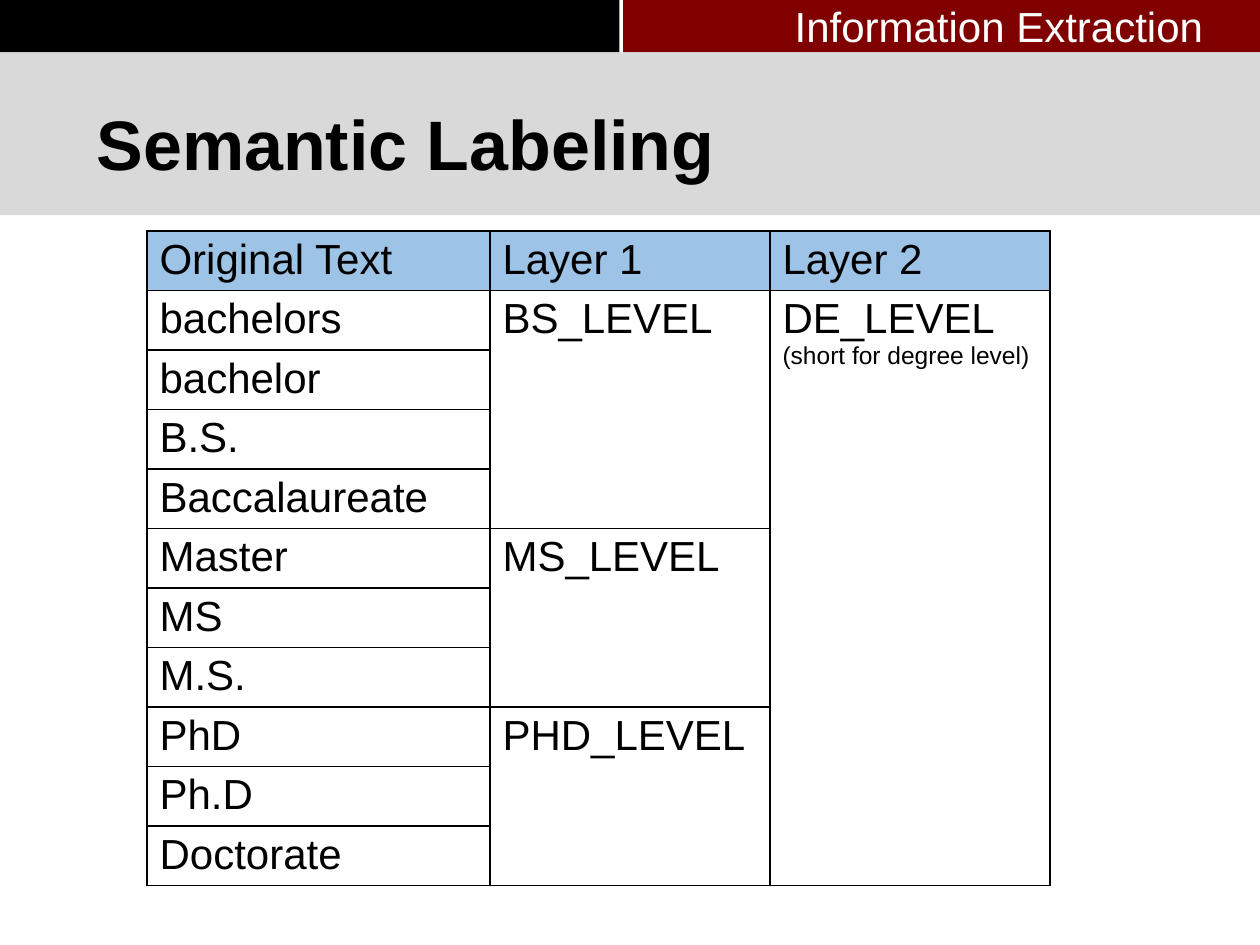
from pptx import Presentation
from pptx.dml.color import RGBColor
from pptx.enum.shapes import MSO_SHAPE as Shape
from pptx.enum.text import MSO_ANCHOR as Anchor, PP_ALIGN as Align
from pptx.oxml import parse_xml
from pptx.oxml.ns import nsdecls
from pptx.util import Pt

# Content
TITLE = "Semantic Labeling"
TOPIC = "Information Extraction"
HEADINGS = ["Original Text", "Layer 1", "Layer 2"]
LEVELS = [
    ("BS_LEVEL", ["bachelors", "bachelor", "B.S.", "Baccalaureate"]),
    ("MS_LEVEL", ["Master", "MS", "M.S."]),
    ("PHD_LEVEL", ["PhD", "Ph.D", "Doctorate"]),
]
TOP_LEVEL, TOP_LEVEL_NOTE = "DE_LEVEL", "(short for degree level)"

THEME = {
    "font": "Arial", "title": 40, "body": 24, "note": 14,
    "black": "000000", "white": "FFFFFF", "maroon": "800000",
    "grey": "D9D9D9", "heading": "9DC3E6",
}

# Layout in points
WIDTH, HEIGHT = 720, 540
BAR_HEIGHT = 30
BANDS = [
    ("black", (0, 0, 354, BAR_HEIGHT)),
    ("maroon", (356, 0, 364, BAR_HEIGHT)),
    ("grey", (0, BAR_HEIGHT, WIDTH, 93)),
]
TITLE_BOX = (48, 42, 578, 78.5)
TOPIC_BOX = (447, -3, 250.5, 36)
TABLE_LEFT, TABLE_TOP, ROW_HEIGHT = 84, 132, 34
COLUMN_WIDTHS = [196, 160, 160]


def color(key):
    return RGBColor.from_string(THEME[key])


def points(box):
    return [Pt(length) for length in box]


def write(paragraph, text, size="body", ink="black", bold=False, align=Align.LEFT):
    paragraph.alignment = align
    run = paragraph.add_run()
    run.text = text
    run.font.name = THEME["font"]
    run.font.size = Pt(THEME[size])
    run.font.bold = bold
    run.font.color.rgb = color(ink)


def add_borders(cell):
    properties = cell._tc.get_or_add_tcPr()
    for position, side in enumerate(("lnL", "lnR", "lnT", "lnB")):
        properties.insert(position, parse_xml(
            f'<a:{side} {nsdecls("a")} w="{Pt(1)}"><a:solidFill>'
            f'<a:srgbClr val="{THEME["black"]}"/></a:solidFill></a:{side}>'))


deck = Presentation()
deck.slide_width, deck.slide_height = Pt(WIDTH), Pt(HEIGHT)
slide = deck.slides.add_slide(deck.slide_layouts[5])

# Title
title = slide.shapes.title
title.left, title.top, title.width, title.height = points(TITLE_BOX)
title.text_frame.vertical_anchor = Anchor.MIDDLE
write(title.text_frame.paragraphs[0], TITLE, size="title", bold=True)

# Header bands, behind the title
for fill, box in BANDS:
    band = slide.shapes.add_shape(Shape.RECTANGLE, *points(box))
    band.shadow.inherit = False
    band.fill.solid()
    band.fill.fore_color.rgb = color(fill)
    band.line.fill.background()
    title.element.addprevious(band.element)

# Table of labels
row_count = 1 + sum(len(terms) for _, terms in LEVELS)
labels = slide.shapes.add_table(
    row_count, len(HEADINGS), Pt(TABLE_LEFT), Pt(TABLE_TOP),
    Pt(sum(COLUMN_WIDTHS)), Pt(row_count * ROW_HEIGHT)).table
for column, width in zip(labels.columns, COLUMN_WIDTHS):
    column.width = Pt(width)
for row_index, row in enumerate(labels.rows):
    row.height = Pt(ROW_HEIGHT)
    for cell in row.cells:
        cell.margin_top = cell.margin_bottom = Pt(3)
        cell.fill.solid()
        cell.fill.fore_color.rgb = color("white" if row_index else "heading")
        add_borders(cell)


def fill_cell(row, column, *lines):
    frame = labels.cell(row, column).text_frame
    for index, (text, size) in enumerate(lines):
        paragraph = frame.add_paragraph() if index else frame.paragraphs[0]
        write(paragraph, text, size=size)


def merge_down(column, first, last):
    labels.cell(first, column).merge(labels.cell(last, column))


for column, heading in enumerate(HEADINGS):
    fill_cell(0, column, (heading, "body"))
first = 1
for level, terms in LEVELS:
    for offset, term in enumerate(terms):
        fill_cell(first + offset, 0, (term, "body"))
    fill_cell(first, 1, (level, "body"))
    merge_down(1, first, first + len(terms) - 1)
    first += len(terms)
fill_cell(1, 2, (TOP_LEVEL, "body"), (TOP_LEVEL_NOTE, "note"))
merge_down(2, 1, row_count - 1)

# Topic in the header
topic = slide.shapes.add_textbox(*points(TOPIC_BOX))
topic.text_frame.word_wrap = False
write(topic.text_frame.paragraphs[0], TOPIC, ink="white")

deck.save("out.pptx")
